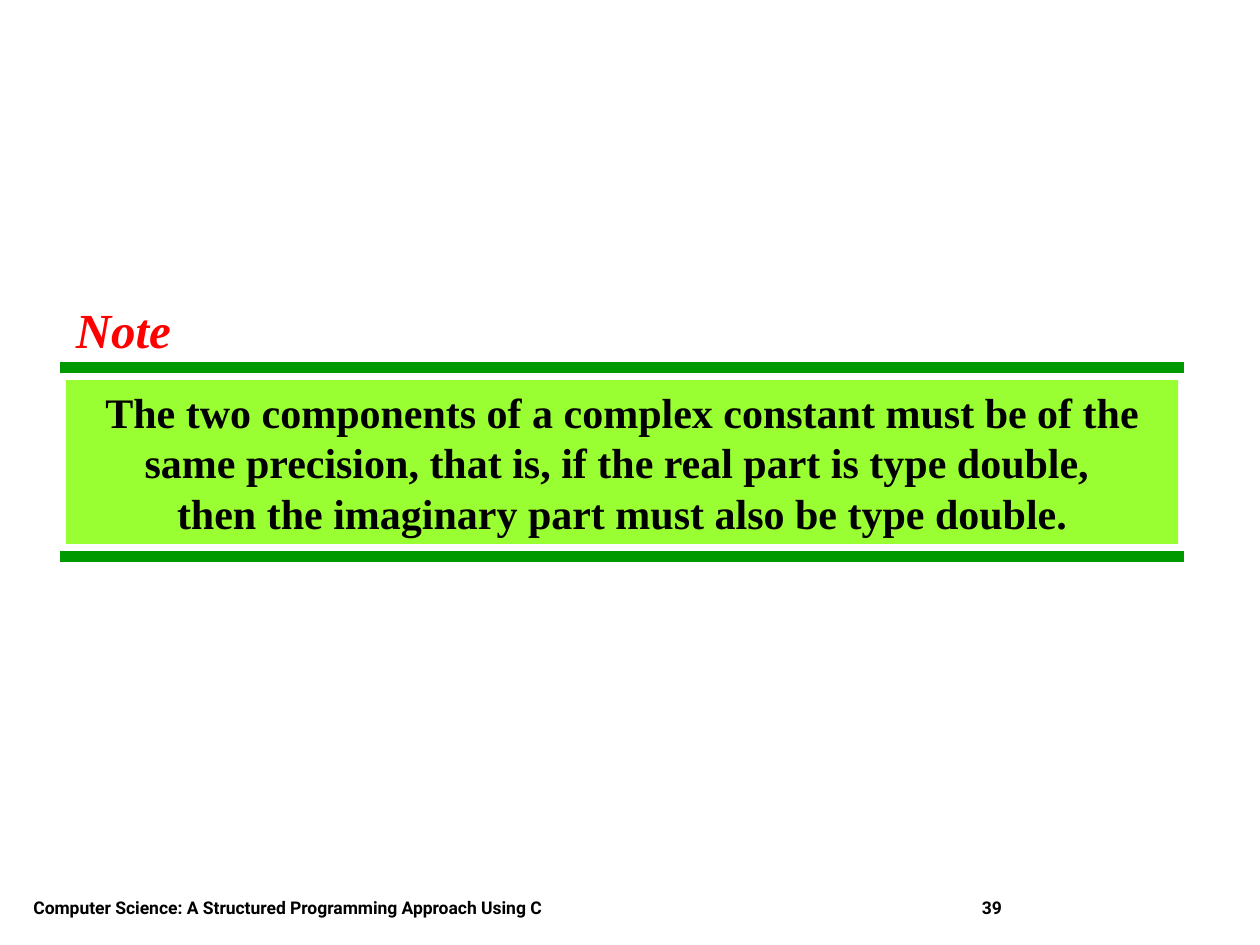
from lxml.etree import SubElement
from pptx import Presentation
from pptx.dml.color import RGBColor
from pptx.enum.shapes import MSO_CONNECTOR, MSO_SHAPE
from pptx.enum.text import MSO_ANCHOR, PP_ALIGN
from pptx.oxml.ns import qn
from pptx.util import Pt

COLORS = {"rule": "009900", "panel": "99FF33", "note": "FF0000", "text": "000000"}
SERIF = "Times New Roman"
FOOT = {"name": "Roboto", "size": Pt(10), "bold": True}
BODY = {"name": SERIF, "size": Pt(24), "bold": True}
HEAD = {"name": SERIF, "size": Pt(28), "bold": True, "italic": True}


def color(key):
    return RGBColor.from_string(COLORS[key])


def write(shape, text, style, ink="text", align=PP_ALIGN.LEFT,
          anchor=MSO_ANCHOR.TOP, wrap=True):
    frame = shape.text_frame
    frame.word_wrap = wrap
    frame.vertical_anchor = anchor
    para = frame.paragraphs[0]
    para.text = text
    para.alignment = align
    for run in para.runs:
        for name, value in style.items():
            setattr(run.font, name, value)
        run.font.color.rgb = color(ink)


def add_text(slide, box, text, style, **layout):
    shape = slide.shapes.add_textbox(*map(Pt, box))
    write(shape, text, style, **layout)


def add_rule(slide, left, top, width):
    rule = slide.shapes.add_connector(
        MSO_CONNECTOR.STRAIGHT, Pt(left), Pt(top), Pt(left + width), Pt(top))
    rule.line.color.rgb = color("rule")
    rule.line.width = Pt(6)
    SubElement(rule._element.spPr, qn("a:effectLst"))


def add_note(slide, left, top, width, height, title, text):
    """Place a titled panel between two rules; the box spans the rules."""
    for y in (top, top + height):
        add_rule(slide, left, y, width)
    side, gap = 3.2, 7.2
    panel = slide.shapes.add_shape(
        MSO_SHAPE.RECTANGLE, Pt(left + side), Pt(top + gap),
        Pt(width - 2 * side), Pt(height - 2 * gap))
    panel.shadow.inherit = False
    panel.fill.solid()
    panel.fill.fore_color.rgb = color("panel")
    panel.line.fill.background()
    write(panel, text, BODY, align=PP_ALIGN.CENTER)
    add_text(slide, (left + 1.5, top - 42.3, 69, 41), title, HEAD,
             ink="note", align=PP_ALIGN.CENTER, wrap=False)


def add_footer(slide, left, top, width, height, title, number):
    page = 150
    for x, w, text in ((left, 408, title), (left + width - page, page, number)):
        add_text(slide, (x, top, w, height), text, FOOT, anchor=MSO_ANCHOR.BOTTOM)


def main():
    deck = Presentation()
    deck.slide_width, deck.slide_height = Pt(720), Pt(540)
    slide = deck.slides.add_slide(deck.slide_layouts[6])
    add_footer(slide, 12, 492, 692, 36,
               "Computer Science: A Structured Programming Approach Using C", "39")
    add_note(slide, 34.5, 210, 642, 108, "Note",
             "The two components of a complex constant must be of the same "
             "precision, that is, if the real part is type double, \v"
             "then the imaginary part must also be type double.")
    deck.save("out.pptx")


if __name__ == "__main__":
    main()
